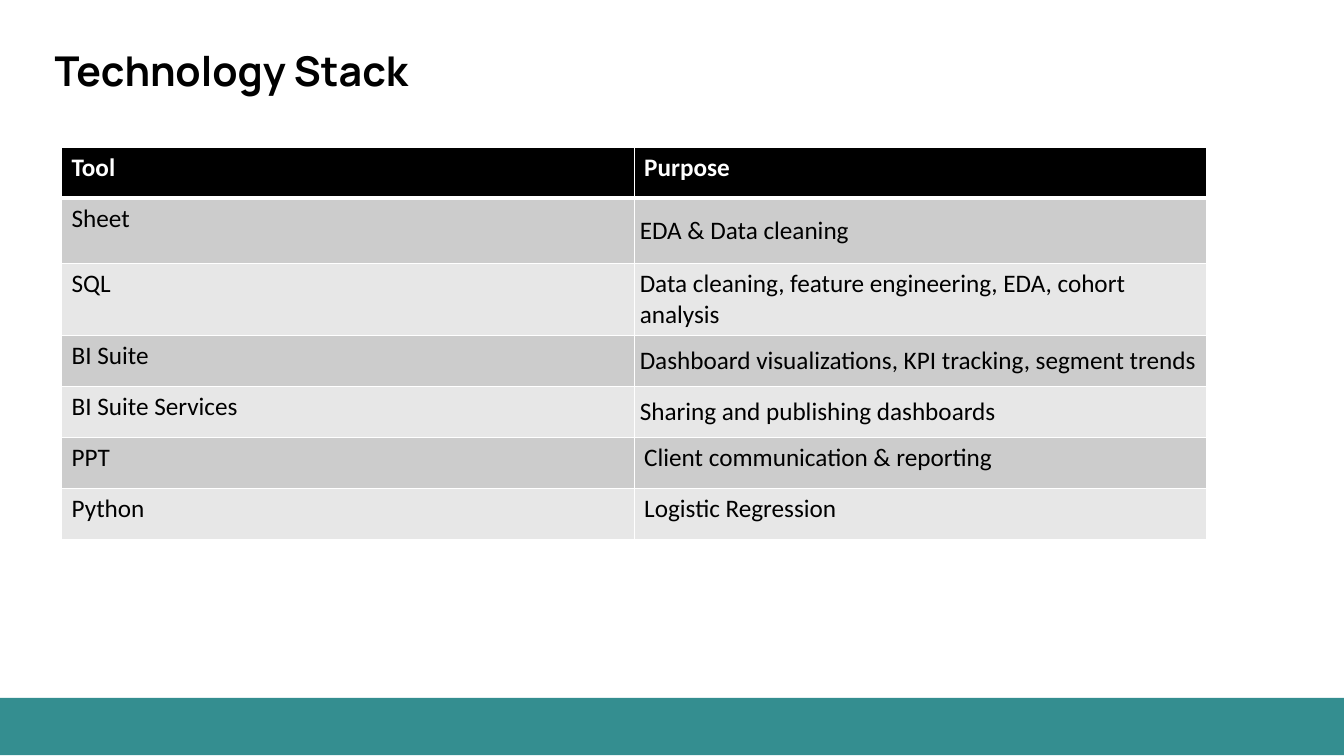
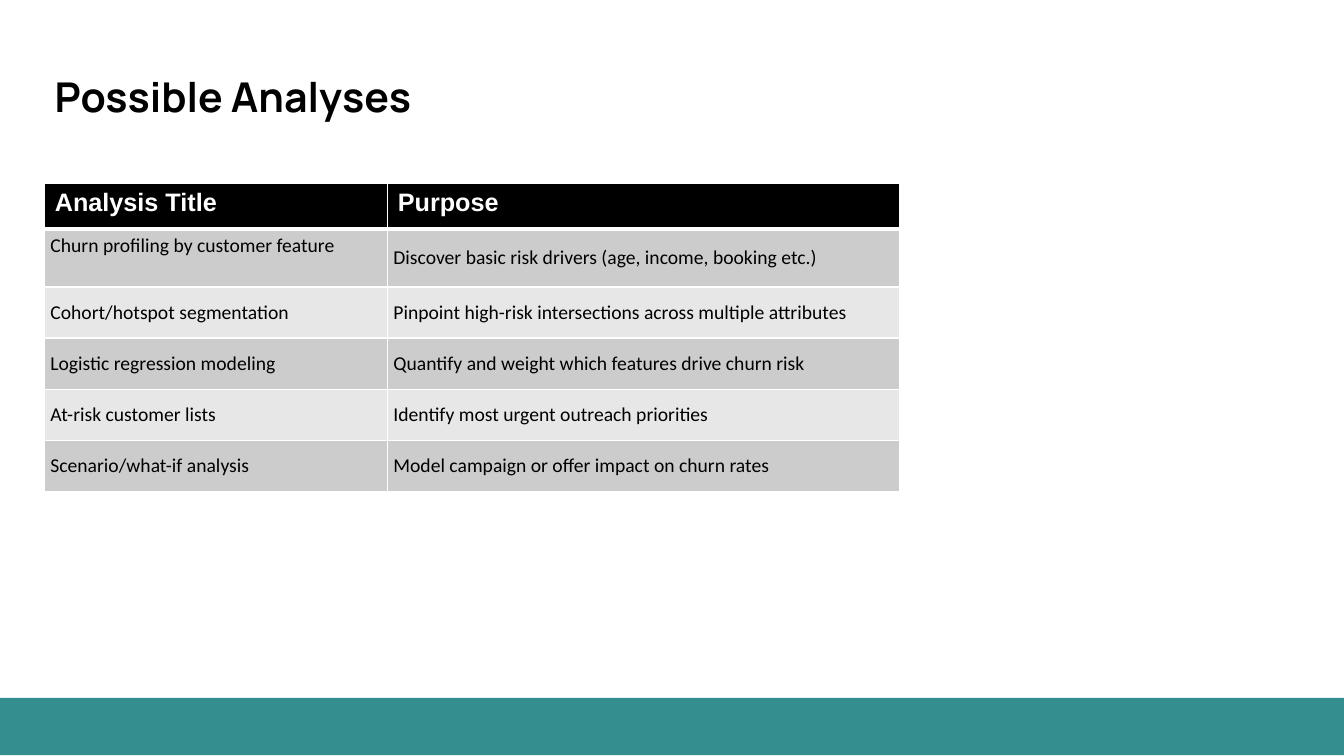
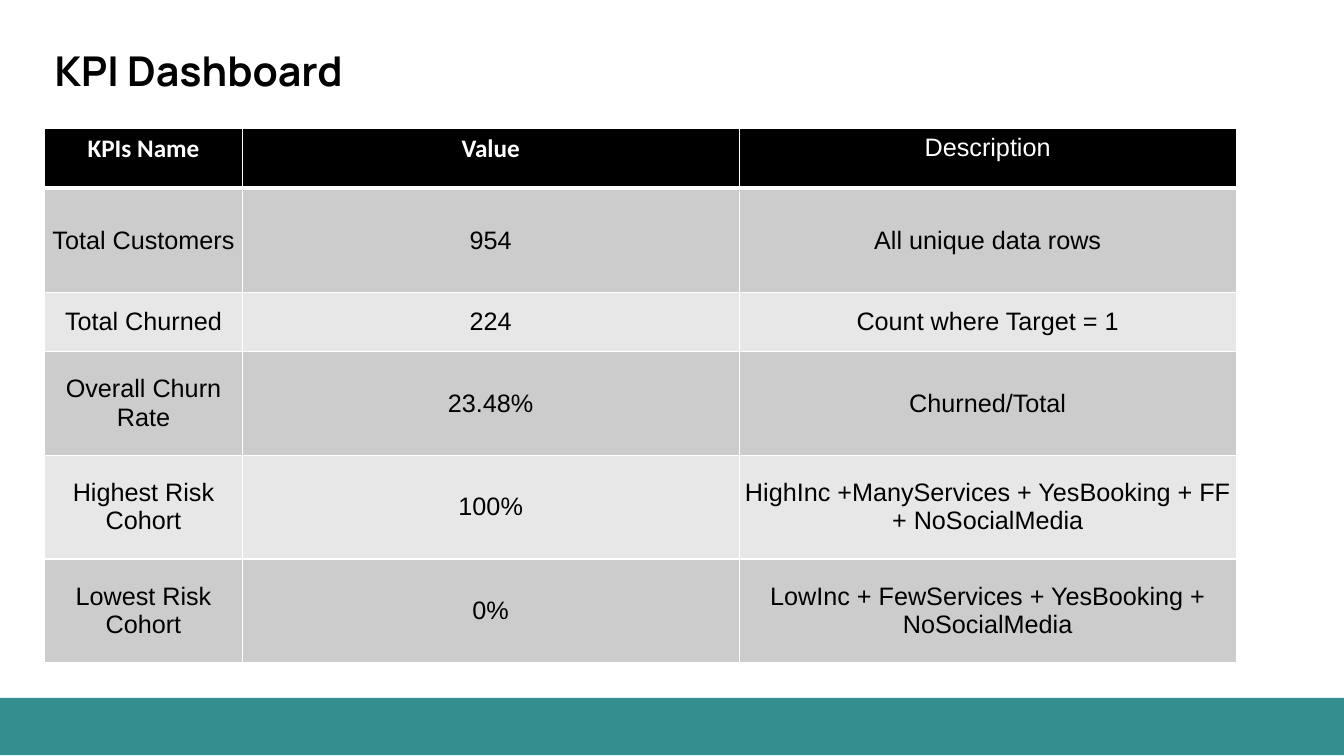
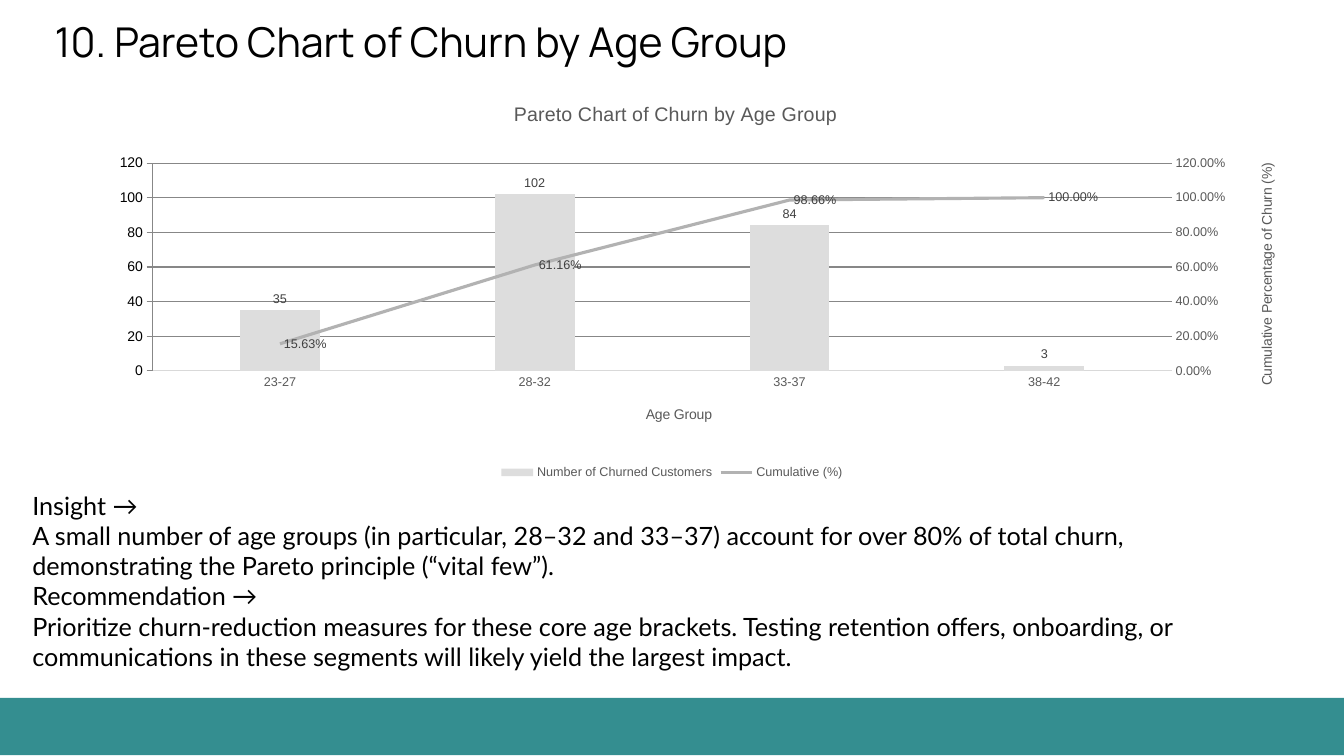
from dataclasses import dataclass

from lxml.etree import SubElement
from pptx import Presentation
from pptx.chart.axis import ValueAxis
from pptx.chart.data import CategoryChartData as ChartData
from pptx.dml.color import RGBColor as Color
from pptx.enum.chart import XL_CHART_TYPE as ChartType
from pptx.enum.chart import XL_LABEL_POSITION as LabelPosition
from pptx.enum.chart import XL_LEGEND_POSITION as LegendPosition
from pptx.enum.chart import XL_MARKER_STYLE as MarkerStyle
from pptx.enum.chart import XL_TICK_MARK as TickMark
from pptx.enum.shapes import MSO_SHAPE as Shape
from pptx.enum.text import MSO_ANCHOR as Anchor
from pptx.enum.text import PP_ALIGN as Align
from pptx.oxml import parse_xml
from pptx.oxml.ns import nsdecls, qn
from pptx.util import Pt

LINE_PLOT = f"""<c:lineChart {nsdecls("c")}>
  <c:grouping val="standard"/><c:varyColors val="0"/>
  <c:marker val="1"/><c:axId val="5001"/><c:axId val="5002"/>
</c:lineChart>"""
HIDDEN_AXIS = f"""<c:catAx {nsdecls("c")}>
  <c:axId val="5001"/><c:scaling><c:orientation val="minMax"/></c:scaling>
  <c:delete val="1"/><c:axPos val="b"/><c:crossAx val="5002"/>
</c:catAx>"""
RIGHT_AXIS = f"""<c:valAx {nsdecls("c")}>
  <c:axId val="5002"/><c:scaling><c:orientation val="minMax"/></c:scaling>
  <c:delete val="0"/><c:axPos val="r"/><c:tickLblPos val="nextTo"/>
  <c:crossAx val="5001"/><c:crosses val="max"/>
</c:valAx>"""


@dataclass(frozen=True)
class Theme:
    black: str = "000000"
    white: str = "FFFFFF"
    teal: str = "348E90"
    odd_row: str = "CCCCCC"
    even_row: str = "E7E7E7"
    bars: str = "DDDDDD"
    line: str = "B2B2B2"
    grid: str = "D9D9D9"
    chart_text: str = "595959"
    label_text: str = "404040"
    title_font: str = "Manrope"
    body_font: str = "Lato"
    table_font: str = "Calibri"
    plain_font: str = "Arial"
    title_size: float = 29.3
    text_size: float = 18
    small_size: float = 14
    axis_title_size: float = 10
    label_size: float = 9
    thin: float = 1
    thick: float = 3
    snug_inset: float = 4


class Deck:
    width, height = 960, 540

    def __init__(self, theme):
        self.theme = theme
        self.presentation = Presentation()
        self.presentation.slide_width = Pt(self.width)
        self.presentation.slide_height = Pt(self.height)
        self.slide = None

    def style(self, font, name, size, color, bold=False):
        font.name, font.size, font.bold = name, Pt(size), bold
        font.color.rgb = Color.from_string(color)

    def text(self, box, paragraphs, name, size, bold=False, anchor=Anchor.TOP, inset=None):
        shape = self.slide.shapes.add_textbox(*map(Pt, box))
        frame = shape.text_frame
        frame.word_wrap, frame.vertical_anchor = True, anchor
        if inset is not None:
            frame.margin_top = frame.margin_bottom = Pt(inset)
        for index, content in enumerate(paragraphs):
            paragraph = frame.add_paragraph() if index else frame.paragraphs[0]
            paragraph.text = content
            self.style(paragraph.font, name, size, self.theme.black, bold)

    def new_slide(self, title, title_bottom, bold=True):
        theme = self.theme
        self.slide = self.presentation.slides.add_slide(self.presentation.slide_layouts[6])
        band = self.slide.shapes.add_shape(Shape.RECTANGLE, 0, Pt(498.5), Pt(self.width), Pt(41))
        band.shadow.inherit = False
        band.fill.solid()
        band.fill.fore_color.rgb = Color.from_string(theme.teal)
        band.line.fill.background()
        self.text((32, 0, 862, title_bottom), [title], theme.title_font, theme.title_size,
                  bold, Anchor.BOTTOM, 7.2)

    def borders(self, cell, row):
        theme = self.theme
        properties = cell._tc.get_or_add_tcPr()
        thick_side = {0: "lnB", 1: "lnT"}.get(row)
        for side in ("lnL", "lnR", "lnT", "lnB"):
            weight = theme.thick if side == thick_side else theme.thin
            border = SubElement(properties, qn(f"a:{side}"), w=str(Pt(weight)))
            fill = SubElement(border, qn("a:solidFill"))
            SubElement(fill, qn("a:srgbClr"), val=theme.white)

    def table(self, left, top, widths, heights, rows, head_font, body_font, body_size,
              snug=lambda row, column: row > 0, align=Align.LEFT):
        theme = self.theme
        table = self.slide.shapes.add_table(
            len(rows), len(widths), Pt(left), Pt(top), Pt(sum(widths)), Pt(sum(heights))).table
        for column, width in zip(table.columns, widths):
            column.width = Pt(width)
        for row_index, (height, contents) in enumerate(zip(heights, rows)):
            table.rows[row_index].height = Pt(height)
            header = row_index == 0
            fill = theme.black if header else theme.odd_row if row_index % 2 else theme.even_row
            for column_index, content in enumerate(contents):
                cell = table.cell(row_index, column_index)
                self.borders(cell, row_index)
                cell.fill.solid()
                cell.fill.fore_color.rgb = Color.from_string(fill)
                if snug(row_index, column_index):
                    cell.margin_left = cell.margin_right = Pt(theme.snug_inset)
                    cell.vertical_anchor = Anchor.MIDDLE
                paragraph = cell.text_frame.paragraphs[0]
                paragraph.text, paragraph.alignment = content, align
                if header:
                    self.style(paragraph.font, head_font, theme.text_size, theme.white, True)
                else:
                    self.style(paragraph.font, body_font, body_size, theme.black)
        return table

    def place(self, parent, index, area, **position):
        for layout in parent.findall(qn("c:layout")):
            parent.remove(layout)
        layout = parse_xml(f"<c:layout {nsdecls('c')}/>")
        parent.insert(index, layout)
        manual = SubElement(layout, qn("c:manualLayout"))
        if "w" in position:
            SubElement(manual, qn("c:layoutTarget"), val="inner")
        for mode in ("xMode", "yMode"):
            SubElement(manual, qn(f"c:{mode}"), val="edge")
        for key, points in position.items():
            whole = area[2] if key in "xw" else area[3]
            SubElement(manual, qn(f"c:{key}"), val=str(points / whole))

    def chart_title(self, title, content, size, area, x, y):
        paragraph = title.text_frame.paragraphs[0]
        paragraph.text = content
        self.style(paragraph.font, self.theme.plain_font, size, self.theme.chart_text)
        self.place(title._element, 1, area, x=x, y=y)

    def axis(self, axis, title, area, x, y):
        theme = self.theme
        axis.major_tick_mark = axis.minor_tick_mark = TickMark.NONE
        self.style(axis.tick_labels.font, theme.plain_font, theme.label_size, theme.chart_text)
        axis.has_title = True
        self.chart_title(axis.axis_title, title, theme.axis_title_size, area, x, y)

    def value_axis(self, axis, maximum, step, number_format):
        axis.minimum_scale, axis.maximum_scale, axis.major_unit = 0, maximum, step
        axis.tick_labels.number_format = number_format
        axis.tick_labels.number_format_is_linked = False
        axis.format.line.fill.background()

    def grey_line(self, line, color, weight):
        line.color.rgb = Color.from_string(color)
        line.width = Pt(weight)

    def value_labels(self, series, position, number_format):
        theme = self.theme
        labels = series.data_labels
        labels.show_value, labels.position = True, position
        labels.number_format, labels.number_format_is_linked = number_format, False
        self.style(labels.font, theme.plain_font, theme.label_size, theme.label_text)

    def split_line_plot(self, chart):
        element = chart.plots[0].series[1]._element
        for child in element.findall(qn("c:invertIfNegative")):
            element.remove(child)
        bar_plot = element.getparent()
        plot_area = bar_plot.getparent()
        line_plot = parse_xml(LINE_PLOT)
        bar_plot.addnext(line_plot)
        line_plot.insert(2, element)
        right_axis = parse_xml(RIGHT_AXIS)
        left_axis = plot_area.find(qn("c:valAx"))
        left_axis.addnext(right_axis)
        left_axis.addnext(parse_xml(HIDDEN_AXIS))
        return plot_area, ValueAxis(right_axis)

    def pareto(self, area, title, axis_titles, categories, counts, shares):
        theme = self.theme
        data = ChartData()
        data.categories = categories
        data.add_series(*counts, number_format="General")
        data.add_series(*shares, number_format="0.00%")
        chart = self.slide.shapes.add_chart(
            ChartType.COLUMN_CLUSTERED, *map(Pt, area), data).chart
        self.style(chart.font, theme.plain_font, theme.axis_title_size, theme.black)
        plot_area, right_axis = self.split_line_plot(chart)
        self.place(plot_area, 0, area, x=77, y=61, w=728, h=148.5)

        chart.has_title = True
        self.chart_title(chart.chart_title, title, theme.small_size, area, 332.5, 14.5)
        chart.has_legend = True
        chart.legend.position = LegendPosition.BOTTOM
        chart.legend.include_in_layout = False
        self.style(chart.legend.font, theme.plain_font, theme.label_size, theme.chart_text)

        category_axis, left_axis = chart.category_axis, chart.value_axis
        spots = ((427.5, 232), (17, 70), (864.5, 59))
        for axis, name, spot in zip((category_axis, left_axis, right_axis), axis_titles, spots):
            self.axis(axis, name, area, *spot)
        self.grey_line(category_axis.format.line, theme.grid, 0.75)
        self.value_axis(left_axis, 120, 20, "General")
        self.value_axis(right_axis, 1.2, 0.2, "0.00%")
        self.grey_line(left_axis.major_gridlines.format.line, theme.grid, 0.75)
        right_axis.has_major_gridlines = False

        columns, line = chart.plots
        columns.vary_by_categories = False
        columns.gap_width, columns.overlap = 219, -27
        bars, cumulative = columns.series[0], line.series[0]
        bars.format.fill.solid()
        bars.format.fill.fore_color.rgb = Color.from_string(theme.bars)
        self.grey_line(cumulative.format.line, theme.line, 2.25)
        cumulative.marker.style = MarkerStyle.NONE
        cumulative.smooth = False
        self.value_labels(bars, LabelPosition.OUTSIDE_END, "General")
        self.value_labels(cumulative, LabelPosition.RIGHT, "0.00%")


def technology_stack(deck):
    theme = deck.theme
    deck.new_slide("Technology Stack", 75)
    deck.table(
        44, 105, [409] * 2, [36.5, 46.5, 51.5] + [36.5] * 4,
        [("Tool", "Purpose"),
         ("Sheet", "EDA & Data cleaning"),
         ("SQL", "Data cleaning, feature engineering, EDA, cohort analysis"),
         ("BI Suite", "Dashboard visualizations, KPI tracking, segment trends"),
         ("BI Suite Services", "Sharing and publishing dashboards"),
         ("PPT", "Client communication & reporting"),
         ("Python", "Logistic Regression")],
        theme.table_font, theme.table_font, theme.text_size,
        snug=lambda row, column: column == 1 and 1 <= row <= 4)


def possible_analyses(deck):
    theme = deck.theme
    deck.new_slide("Possible Analyses", 93.5)
    table = deck.table(
        32, 131, [245, 365.5], [32.5, 41.5] + [36.5] * 4,
        [("Analysis Title", "Purpose"),
         ("Churn profiling by customer feature",
          "Discover basic risk drivers (age, income, booking etc.)"),
         ("Cohort/hotspot segmentation",
          "Pinpoint high-risk intersections across multiple attributes"),
         ("Logistic regression modeling", "Quantify and weight which features drive churn risk"),
         ("At-risk customer lists", "Identify most urgent outreach priorities"),
         ("Scenario/what-if analysis", "Model campaign or offer impact on churn rates")],
        theme.plain_font, theme.table_font, theme.small_size)
    table.cell(1, 0).vertical_anchor = Anchor.TOP


def kpi_dashboard(deck):
    theme = deck.theme
    deck.new_slide("KPI Dashboard", 75)
    table = deck.table(
        32, 91.5, [141, 355, 355], [43, 74.5, 42] + [74.2] * 3,
        [("KPIs Name", "Value", "Description"),
         ("Total Customers", "954", "All unique data rows"),
         ("Total Churned", "224", "Count where Target = 1"),
         ("Overall Churn Rate", "23.48%", "Churned/Total"),
         ("Highest Risk Cohort", "100%", "HighInc +ManyServices + YesBooking + FF + NoSocialMedia"),
         ("Lowest Risk Cohort", "0%", "LowInc + FewServices + YesBooking + NoSocialMedia")],
        theme.table_font, theme.plain_font, theme.text_size, align=Align.CENTER)
    description = table.cell(0, 2).text_frame.paragraphs[0]
    deck.style(description.font, theme.plain_font, theme.text_size, theme.white)


def churn_by_age(deck):
    theme = deck.theme
    deck.new_slide("10. Pareto Chart of Churn by Age Group", 54, bold=False)
    deck.pareto(
        (32, 55.5, 896, 290), "Pareto Chart of Churn by Age Group",
        ("Age Group", "Number of Churned Customers", "Cumulative Percentage of Churn (%)"),
        ("23-27", "28-32", "33-37", "38-42"),
        ("Number of Churned Customers", (35, 102, 84, 3)),
        ("Cumulative (%)", (0.1563, 0.6116, 0.9866, 1)))
    deck.text(
        (16, 346.5, 912, 138),
        ["Insight →\nA small number of age groups (in particular, 28–32 and 33–37) account for "
         "over 80% of total churn, demonstrating the Pareto principle (“vital few”).",
         "Recommendation →\nPrioritize churn-reduction measures for these core age brackets. "
         "Testing retention offers, onboarding, or communications in these segments will likely "
         "yield the largest impact."],
        theme.body_font, theme.text_size)


def main():
    deck = Deck(Theme())
    for build in (technology_stack, possible_analyses, kpi_dashboard, churn_by_age):
        build(deck)
    deck.presentation.save("out.pptx")


if __name__ == "__main__":
    main()
